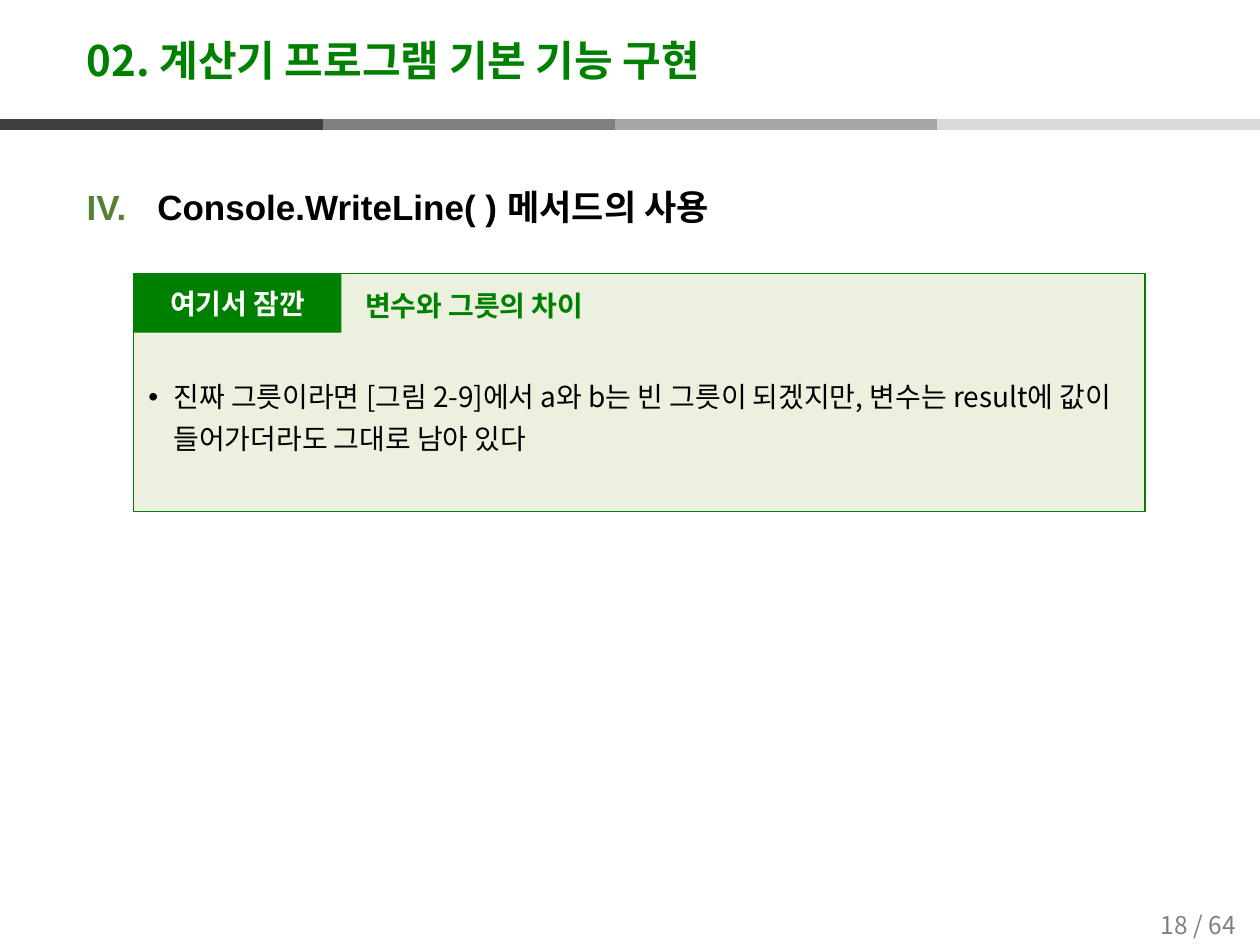
from pptx import Presentation
from pptx import util as u
from pptx.dml.color import RGBColor
from pptx.enum import shapes, text
from pptx.oxml import parse_xml
from pptx.oxml.ns import nsdecls

KOREAN = "Noto Sans CJK KR"
GREEN, PALE_GREEN, NUMERAL_GREEN = "008000", "EBF1DE", "548235"
BLACK, WHITE, GREY = "000000", "FFFFFF", "808080"
NOTE_LEFT, NOTE_TOP = 1.06, 2.17


def rgb(value):
    return RGBColor.from_string(value)


def drawing(markup):
    """Parse one empty a: element, given as its tag name and attributes."""
    tag, _, attributes = markup.partition(" ")
    return parse_xml(f"<a:{tag} {nsdecls('a')} {attributes}/>")


def write(shape, wording, size, color, font=KOREAN, bold=False, **layout):
    """Fill the shape's first paragraph; layout holds paragraph attributes."""
    shape.text_frame.word_wrap = True
    paragraph = shape.text_frame.paragraphs[0]
    for name, value in layout.items():
        setattr(paragraph, name, value)
    run = paragraph.add_run()
    run.text = wording
    formats = {"name": font, "size": u.Pt(size), "bold": bold}
    for name, value in formats.items():
        setattr(run.font, name, value)
    run.font.color.rgb = rgb(color)
    run.font._element.append(drawing(f'ea typeface="{KOREAN}"'))
    return paragraph


def add_text(slide, box, wording, size, color,
             anchor=text.MSO_ANCHOR.TOP, **style):
    label = slide.shapes.add_textbox(*map(u.Inches, box))
    label.text_frame.vertical_anchor = anchor
    return write(label, wording, size, color, **style)


def add_panel(slide, box, fill, line=None):
    panel = slide.shapes.add_shape(
        shapes.MSO_SHAPE.RECTANGLE, *map(u.Inches, box))
    panel.shadow.inherit = False
    panel.fill.solid()
    panel.fill.fore_color.rgb = rgb(fill)
    if line:
        panel.line.color.rgb = rgb(line)
        panel.line.width = u.Pt(1)
    else:
        panel.line.fill.background()
    return panel


def add_divider(slide):
    """Draw the four-tone band; the dark piece overlaps its neighbour."""
    pieces = [(2.32, GREY), (4.88, "A6A6A6"), (7.44, "D9D9D9"), (0, "404040")]
    for left, color in pieces:
        piece = slide.shapes.add_connector(
            shapes.MSO_CONNECTOR.STRAIGHT,
            *map(u.Inches, (left, 0.99, left + 2.56, 0.99)))
        piece.line.color.rgb = rgb(color)
        piece.line.width = u.Pt(6)
        piece._element.spPr.append(drawing("effectLst"))


def add_marker(paragraph, indent, *markups):
    """Give the paragraph a hanging bullet or number."""
    properties = paragraph._p.get_or_add_pPr()
    properties.set("marL", str(u.Inches(indent)))
    properties.set("indent", str(-u.Inches(indent)))
    for markup in markups:
        properties.append(drawing(markup))


def add_heading(slide):
    heading = add_text(slide, (0.59, 1.31, 8.5, 0.7),
                       "Console.WriteLine( ) 메서드의 사용", 20, BLACK,
                       font="Arial", bold=True, line_spacing=1.35)
    add_marker(heading, 0.56, 'buFont typeface="Arial"',
               'buAutoNum type="romanUcPeriod" startAt="4"')
    color = parse_xml(f'<a:buClr {nsdecls("a")}>'
                      f'<a:srgbClr val="{NUMERAL_GREEN}"/></a:buClr>')
    heading._p.pPr.find(drawing("buFont").tag).addprevious(color)


def add_note(slide):
    add_panel(slide, (NOTE_LEFT, NOTE_TOP, 8.03, 1.89), PALE_GREEN, GREEN)
    tag = add_panel(slide, (NOTE_LEFT, NOTE_TOP, 1.65, 0.47), GREEN)
    tag.text_frame.vertical_anchor = text.MSO_ANCHOR.MIDDLE
    write(tag, "여기서 잠깐", 16, WHITE, bold=True,
          alignment=text.PP_ALIGN.CENTER)
    add_text(slide, (2.8, 2.24, 5.28, 0.37), "변수와 그릇의 차이",
             16, GREEN, bold=True)
    remark = add_text(
        slide, (1.08, 2.9, 8.01, 0.95),
        "진짜 그릇이라면 [그림 2-9]에서 a와 b는 빈 그릇이 되겠지만, "
        "변수는 result에 값이 들어가더라도 그대로 남아 있다",
        16, BLACK, line_spacing=1.25)
    add_marker(remark, 0.2, 'buFont typeface="Arial"', 'buChar char="•"')


def main():
    deck = Presentation()
    deck.slide_width, deck.slide_height = u.Inches(10), u.Inches(7.5)
    slide = deck.slides.add_slide(deck.slide_layouts[6])
    add_divider(slide)
    add_text(slide, (9.02, 7.14, 0.98, 0.39), "18 / 64", 14, GREY,
             anchor=text.MSO_ANCHOR.MIDDLE, alignment=text.PP_ALIGN.CENTER)
    add_text(slide, (0.59, 0.2, 8.74, 0.6), "02. 계산기 프로그램 기본 기능 구현",
             24, GREEN, anchor=text.MSO_ANCHOR.MIDDLE, bold=True,
             line_spacing=0.9)
    add_heading(slide)
    add_note(slide)
    deck.save("out.pptx")


if __name__ == "__main__":
    main()
